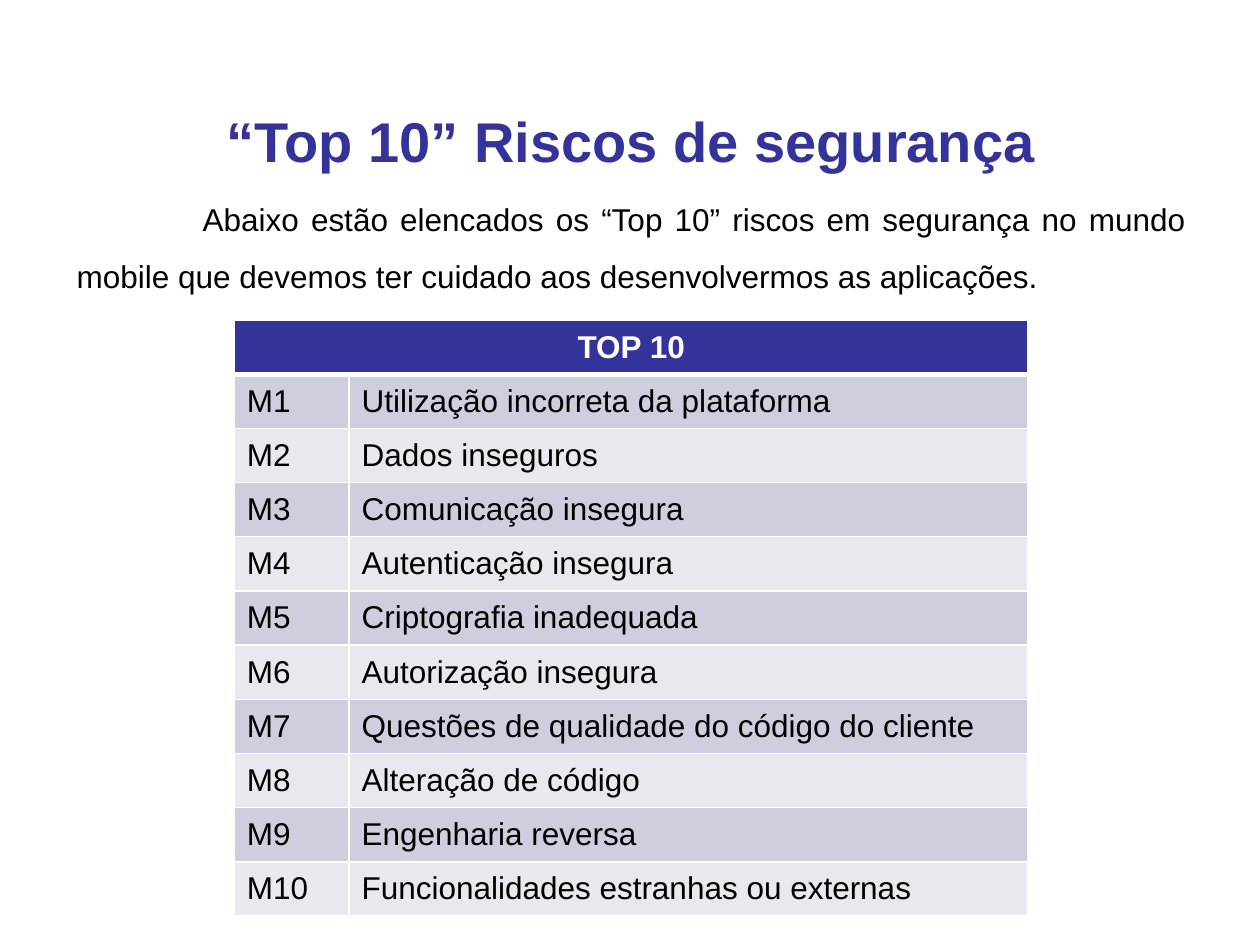
from lxml import etree
from pptx import Presentation
from pptx import util as u
from pptx.dml.color import RGBColor
from pptx.enum import text
from pptx.oxml import ns

NAVY = RGBColor(0x33, 0x33, 0x99)
LILAC = RGBColor(0xCE, 0xCE, 0xDE)
PALE = RGBColor(0xE8, 0xE8, 0xEF)
WHITE = RGBColor(0xFF, 0xFF, 0xFF)
BLACK = RGBColor(0, 0, 0)

TITLE = "“Top 10” Riscos de segurança"
INTRO = (
    "Abaixo estão elencados os “Top 10” riscos em segurança no mundo mobile "
    "que devemos ter cuidado aos desenvolvermos as aplicações."
)
TABLE_HEADING = "TOP 10"
RISKS = [
    "Utilização incorreta da plataforma",
    "Dados inseguros",
    "Comunicação insegura",
    "Autenticação insegura",
    "Criptografia inadequada",
    "Autorização insegura",
    "Questões de qualidade do código do cliente",
    "Alteração de código",
    "Engenharia reversa",
    "Funcionalidades estranhas ou externas",
]
COLUMN_WIDTHS = (0.91, 5.39)
ROW_HEIGHT = 0.43

TITLE_FORMAT = {"size": u.Pt(32), "bold": True, "color": NAVY}
HEADING_FORMAT = {"size": u.Pt(18), "bold": True, "color": WHITE}
BODY_FORMAT = {"size": u.Pt(18), "bold": False, "color": BLACK}


def write(frame, words, format_values, alignment):
    paragraph = frame.paragraphs[0]
    paragraph.alignment = alignment
    run = paragraph.add_run()
    run.text = words
    for name, value in {"name": "Arial", **format_values}.items():
        if name == "color":
            run.font.color.rgb = value
        else:
            setattr(run.font, name, value)
    return paragraph


def add_text(slide, box, words, format_values, alignment, anchor):
    frame = slide.shapes.add_textbox(*map(u.Inches, box)).text_frame
    frame.word_wrap = True
    frame.vertical_anchor = anchor
    return write(frame, words, format_values, alignment)


def style_cell(cell, fill, top, bottom):
    properties = cell._tc.get_or_add_tcPr()
    for side, points in (("L", 1), ("R", 1), ("T", top), ("B", bottom)):
        line = etree.SubElement(properties, ns.qn(f"a:ln{side}"), w=str(u.Pt(points)))
        color = etree.SubElement(line, ns.qn("a:solidFill"))
        etree.SubElement(color, ns.qn("a:srgbClr"), val=str(WHITE))
    cell.fill.solid()
    cell.fill.fore_color.rgb = fill
    cell.vertical_anchor = text.MSO_ANCHOR.MIDDLE


def add_risk_table(slide):
    row_count = len(RISKS) + 1
    box = (1.86, 2.54, sum(COLUMN_WIDTHS), ROW_HEIGHT * row_count)
    table = slide.shapes.add_table(row_count, 2, *map(u.Inches, box)).table
    for column, width in zip(table.columns, COLUMN_WIDTHS):
        column.width = u.Inches(width)
    for row in table.rows:
        row.height = u.Inches(ROW_HEIGHT)

    for cell in table.rows[0].cells:
        style_cell(cell, NAVY, 1, 3)
    table.cell(0, 0).merge(table.cell(0, 1))
    write(table.cell(0, 0).text_frame, TABLE_HEADING, HEADING_FORMAT, text.PP_ALIGN.CENTER)

    for number, risk in enumerate(RISKS, 1):
        fill = LILAC if number % 2 else PALE
        for cell, words in zip(table.rows[number].cells, (f"M{number}", risk)):
            style_cell(cell, fill, 3 if number == 1 else 1, 1)
            write(cell.text_frame, words, BODY_FORMAT, text.PP_ALIGN.LEFT)


def main():
    presentation = Presentation()
    presentation.slide_width = u.Inches(10)
    presentation.slide_height = u.Inches(7.5)
    slide = presentation.slides.add_slide(presentation.slide_layouts[6])

    add_text(slide, (0.51, 0.84, 9, 0.55), TITLE, TITLE_FORMAT,
             text.PP_ALIGN.CENTER, text.MSO_ANCHOR.MIDDLE)
    intro = add_text(slide, (0.51, 1.39, 9, 1.01), INTRO, BODY_FORMAT,
                     text.PP_ALIGN.JUSTIFY, text.MSO_ANCHOR.TOP)
    intro.line_spacing = 1.5
    intro._p.get_or_add_pPr().set("indent", str(u.Inches(1)))
    add_risk_table(slide)

    presentation.save("out.pptx")


if __name__ == "__main__":
    main()
